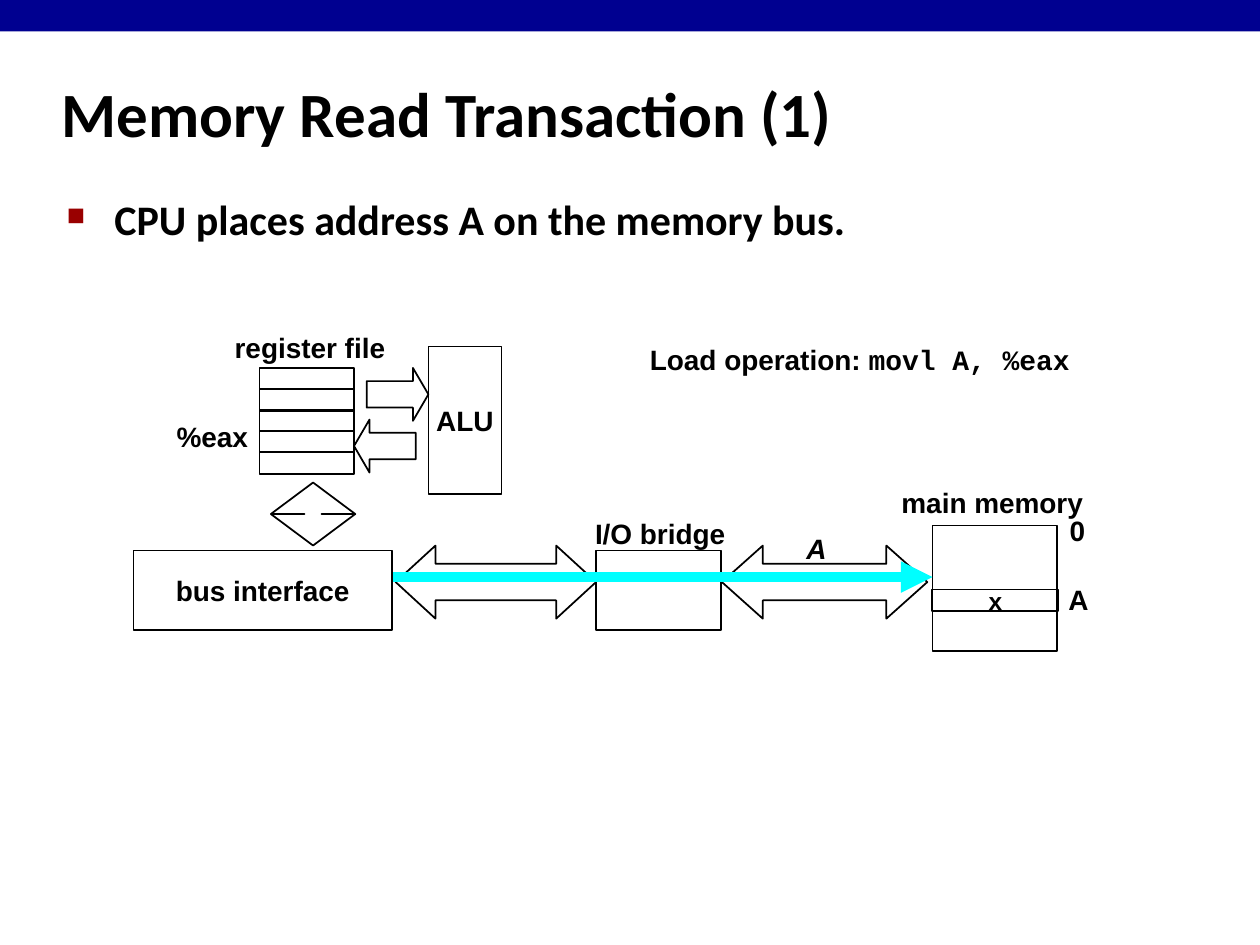
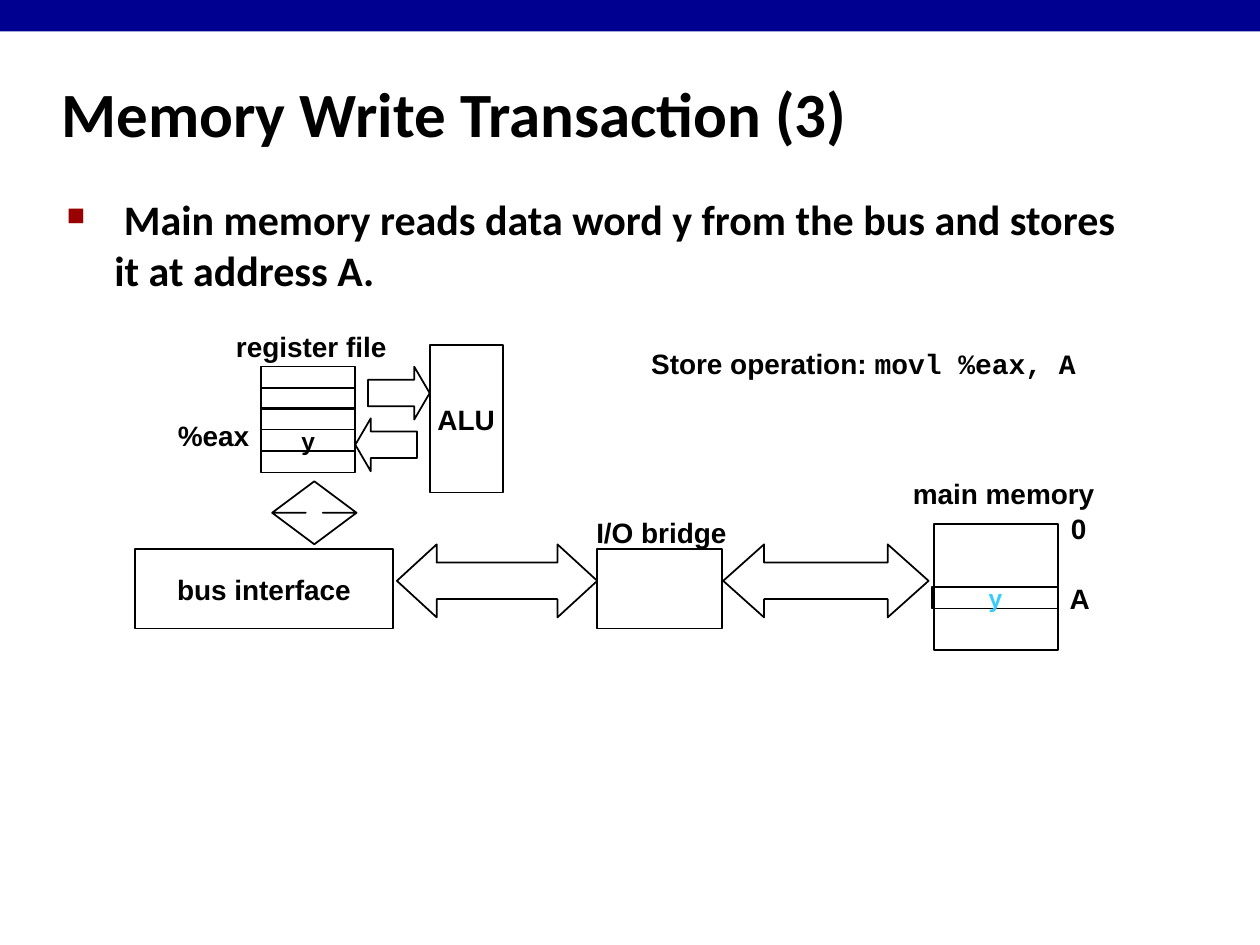
"""Build two slides that show a CPU reading from and writing to main memory over the bus."""

from lxml import etree
from pptx import Presentation
from pptx import util as u
from pptx.dml import color
from pptx.enum import shapes, text
from pptx.oxml import ns

SCALE = 9144
COLOURS = {
    "band": "000090",
    "ink": "000000",
    "paper": "FFFFFF",
    "bullet": "990000",
    "signal": "00FFFF",
    "stored": "33CCFF",
}
HEADING = {"name": "Calibri", "size": u.Pt(36), "bold": True}
BODY = {"name": "Calibri", "size": u.Pt(24), "bold": True}
LABEL = {"name": "Arial", "size": u.Pt(16), "bold": True}
WORD = {**LABEL, "size": u.Pt(14)}
CODE = {**LABEL, "name": "Courier New"}
PRESET = shapes.MSO_SHAPE
MIDDLE = text.MSO_ANCHOR.MIDDLE
CENTER = text.PP_ALIGN.CENTER
LEFT = text.PP_ALIGN.LEFT


def px(*lengths):
    """Turn px lengths into EMU."""
    return [u.Emu(length * SCALE) for length in lengths]


def rgb(name):
    """Look up a colour by its name."""
    return color.RGBColor.from_string(COLOURS[name])


def add_element(parent, tag, **attributes):
    """Append a drawing element to its parent."""
    return etree.SubElement(parent, ns.qn(tag), attributes)


def write(shape, spans, align=CENTER, anchor=MIDDLE, wrap=False, ink="ink"):
    """Fill a shape with one paragraph of (wording, format) spans."""
    frame = shape.text_frame
    frame.word_wrap = wrap
    frame.vertical_anchor = anchor
    para = frame.paragraphs[0]
    para.alignment = align
    for wording, formats in spans:
        span = para.add_run()
        span.text = wording
        for name, value in formats.items():
            setattr(span.font, name, value)
        span.font.color.rgb = rgb(ink)
    return para


def add_text(page, at, spans, **options):
    """Add a text box and return its paragraph."""
    return write(page.shapes.add_textbox(*px(*at)), spans, **options)


def indent(para, margin):
    """Give a paragraph a hanging indent."""
    properties = para._p.get_or_add_pPr()
    first, hanging = px(margin, -margin)
    properties.set("marL", str(first))
    properties.set("indent", str(hanging))
    return properties


def add_bullet(para):
    """Give a paragraph a small square bullet."""
    properties = indent(para, 38)
    tint = add_element(properties, "a:buClr")
    add_element(tint, "a:srgbClr", val=COLOURS["bullet"])
    add_element(properties, "a:buSzPct", val="60000")
    add_element(properties, "a:buChar", char="■")


def add_part(page, at, preset=PRESET.RECTANGLE, label="", formats=LABEL,
             fill=None, ink="ink", adjust=()):
    """Add an outlined part of the machine, with a label if given."""
    part = page.shapes.add_shape(preset, *px(*at))
    part.shadow.inherit = False
    if fill:
        part.fill.solid()
        part.fill.fore_color.rgb = rgb(fill)
    else:
        part.fill.background()
    part.line.color.rgb = rgb("ink")
    part.line.width = u.Pt(1)
    for index, value in enumerate(adjust):
        part.adjustments[index] = value
    if label:
        write(part, [(label, formats)], ink=ink)


def add_signal(page, start, end):
    """Add the thick arrow that travels along the bus."""
    signal = page.shapes.add_connector(shapes.MSO_CONNECTOR.STRAIGHT, *px(*start, *end))
    signal.line.color.rgb = rgb("signal")
    signal.line.width = u.Pt(6)
    add_element(signal.line._get_or_add_ln(), "a:tailEnd", type="triangle")
    add_element(signal._element.spPr, "a:effectLst")


def add_page(deck, title, point):
    """Add a page with the band, the title and one bullet point."""
    page = deck.slides.add_slide(deck.slide_layouts[6])
    band = page.shapes.add_shape(PRESET.RECTANGLE, *px(0, 0, 1000, 25))
    band.shadow.inherit = False
    band.fill.solid()
    band.fill.fore_color.rgb = rgb("band")
    band.line.fill.background()
    heading = add_text(page, (39, 48, 830, 83), [(title, HEADING)], align=LEFT, wrap=True)
    indent(heading, 13)
    body = add_text(page, (43, 149, 864, 544), [(point, BODY)],
                    align=LEFT, anchor=text.MSO_ANCHOR.TOP, wrap=True)
    add_bullet(body)
    return page


def add_machine(page, dx=0, dy=0, register="", signal=False):
    """Draw CPU, buses, bridge and memory, moved by dx and dy."""
    def at(left, top, width, height):
        return left + dx, top + dy, width, height

    add_part(page, at(740, 417, 99, 100))
    for left, width, head in ((573, 163, 0.56), (314, 159, 0.545)):
        add_part(page, at(left, 433, width, 58), PRESET.LEFT_RIGHT_ARROW, adjust=(0.5, head))
    add_part(page, at(473, 437, 99, 63))
    for row in range(5):
        add_part(page, at(206, 292 + round(row * 50 / 3), 75, 17),
                 label=register if row == 3 else "", formats=WORD)
    for preset, left, top in ((PRESET.RIGHT_ARROW, 291, 292), (PRESET.LEFT_ARROW, 281, 333)):
        add_part(page, at(left, top, 49, 42), preset, adjust=(0.5, 0.292))
    add_part(page, at(340, 275, 58, 117), label="ALU")
    add_part(page, at(215, 383, 67, 50), PRESET.UP_DOWN_ARROW, adjust=(0.5, 0.2))
    if signal:
        add_signal(page, (306, 458), (740, 458))
    add_part(page, at(106, 437, 205, 63), label="bus interface", fill="paper")
    for label, left, top, width in (("register file", 176, 257, 140),
                                    ("%eax", 130, 328, 77),
                                    ("I/O bridge", 462, 405, 124),
                                    ("0", 839, 402, 32),
                                    ("A", 838, 457, 36)):
        add_text(page, at(left, top, width, 37), [(label, LABEL)])


def add_memory_word(page, top, label, ink="ink"):
    """Mark the word at address A in main memory."""
    add_part(page, (740, top, 100, 17), label=label, formats=WORD, ink=ink)


def add_operation(page, at, name, code):
    """State the operation and its instruction."""
    add_text(page, at, [(f"{name} operation: ", LABEL), (code, CODE)],
             align=LEFT, anchor=text.MSO_ANCHOR.TOP)


def main():
    """Build and save the deck."""
    deck = Presentation()
    deck.slide_width, deck.slide_height = px(1000, 750)

    read = add_page(deck, "Memory Read Transaction (1)",
                    "CPU places address A on the memory bus.")
    add_machine(read, signal=True)
    add_memory_word(read, 468, "x")
    add_text(read, (630, 417, 36, 37), [("A", {**LABEL, "italic": True})])
    add_text(read, (705, 380, 165, 37), [("main memory", LABEL)])
    add_operation(read, (506, 267, 354, 64), "Load", "movl A, %eax")

    store = add_page(deck, "Memory Write Transaction (3)",
                     " Main memory reads data word y from the bus and stores it at address A.")
    add_machine(store, dx=1, dy=-1, register="y")
    add_memory_word(store, 466, "y", ink="stored")
    add_text(store, (714, 373, 165, 37), [("main memory", LABEL)])
    add_operation(store, (507, 270, 357, 64), "Store", "movl %eax, A")

    deck.save("out.pptx")


if __name__ == "__main__":
    main()
